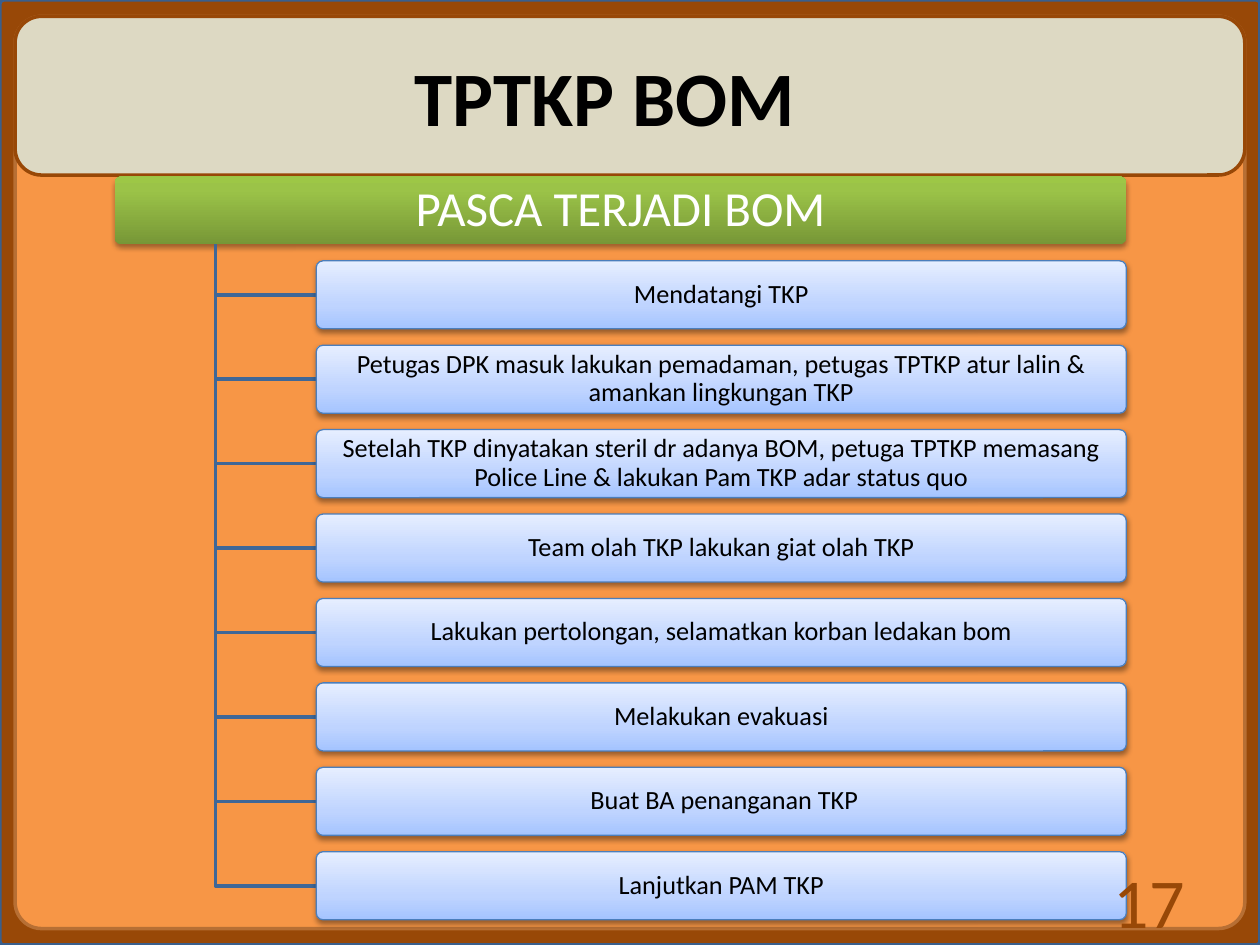
from dataclasses import dataclass

from pptx import Presentation
from pptx.dml.color import RGBColor
from pptx.enum.shapes import MSO_SHAPE as Shape
from pptx.enum.text import MSO_ANCHOR as Anchor, PP_ALIGN as Align
from pptx.oxml import parse_xml
from pptx.oxml.ns import nsdecls, qn
from pptx.util import Inches, Pt


@dataclass(frozen=True)
class Theme:
    font: str = "Calibri"
    black: str = "000000"
    white: str = "FFFFFF"
    brown: str = "984807"
    edge: str = "3A5F8C"
    orange: str = "F79646"
    orange_line: str = "B76F34"
    beige: str = "DDD9C3"
    branch: str = "3F6797"
    step_line: str = "4B7EBC"
    green: tuple = ((0, "779737"), (80, "9BC348"), (100, "9DC746"))
    blue: tuple = ((0, "A4C4FF"), (35, "BFD4FF"), (100, "E6EEFF"))
    title_size: int = 44
    number_size: int = 40
    heading_size: int = 28
    step_size: int = 15


theme = Theme()


def add_box(left, top, width, height, corner, fill, line=None, line_width=2, shadow=None):
    shape = slide.shapes.add_shape(
        Shape.ROUNDED_RECTANGLE, Inches(left), Inches(top), Inches(width), Inches(height))
    shape.adjustments[0] = corner
    shape.shadow.inherit = False
    if isinstance(fill, str):
        shape.fill.solid()
        shape.fill.fore_color.rgb = RGBColor.from_string(fill)
    else:
        shape.fill.gradient()
        stops = "".join(
            f'<a:gs pos="{position * 1000}"><a:srgbClr val="{color}"/></a:gs>'
            for position, color in fill)
        gradient = shape._element.spPr.find(qn("a:gradFill"))
        gradient.getparent().replace(gradient, parse_xml(
            f'<a:gradFill {nsdecls("a")} rotWithShape="1"><a:gsLst>{stops}</a:gsLst>'
            '<a:lin ang="16200000" scaled="0"/></a:gradFill>'))
    if line:
        shape.line.color.rgb = RGBColor.from_string(line)
        shape.line.width = Pt(line_width)
    else:
        shape.line.fill.background()
    if shadow:
        distance, opacity = shadow
        shape._element.spPr.find(qn("a:effectLst")).append(parse_xml(
            f'<a:outerShdw {nsdecls("a")} blurRad="{Pt(3.1)}" dist="{Pt(distance)}" '
            f'dir="5400000" rotWithShape="0"><a:srgbClr val="{theme.black}">'
            f'<a:alpha val="{opacity * 1000}"/></a:srgbClr></a:outerShdw>'))
    return shape


def write_text(shape, text, size, color, align=Align.CENTER, bold=False, inset=None, spacing=None):
    frame = shape.text_frame
    frame.word_wrap = True
    frame.vertical_anchor = Anchor.MIDDLE
    if inset is not None:
        frame.margin_left = frame.margin_right = Inches(inset)
        frame.margin_top = frame.margin_bottom = Inches(inset)
    paragraph = frame.paragraphs[0]
    paragraph.alignment = align
    if spacing:
        paragraph.line_spacing = spacing
    run = paragraph.add_run()
    run.text = text
    run.font.name = theme.font
    run.font.size = Pt(size)
    run.font.bold = bold
    run.font.color.rgb = RGBColor.from_string(color)


presentation = Presentation()
presentation.slide_width = Inches(10)
presentation.slide_height = Inches(7.5)
slide = presentation.slides.add_slide(presentation.slide_layouts[6])

add_box(0, 0, 10, 7.5, 0.004, theme.brown, theme.edge)
add_box(0.12, 0.13, 9.76, 7.24, 0.029, theme.orange, theme.orange_line)
add_box(0.12, 0.13, 9.76, 1.26, 0.1667, theme.beige, theme.brown)

title = slide.shapes.add_textbox(Inches(0.98), Inches(0.13), Inches(7.64), Inches(1.26))
write_text(title, "TPTKP BOM", theme.title_size, theme.black, bold=True)

box_height = 0.54
heading_top = 1.4
heading = add_box(0.91, heading_top, 8.03, box_height, 0.1, theme.green, shadow=(1.8, 35))
write_text(heading, "PASCA TERJADI BOM", theme.heading_size, theme.white, inset=0.06, spacing=0.9)

steps = [
    "Mendatangi TKP",
    "Petugas DPK masuk lakukan pemadaman, petugas TPTKP atur lalin & amankan lingkungan TKP",
    "Setelah TKP dinyatakan steril dr adanya BOM, petuga TPTKP memasang Police Line & "
    "lakukan Pam TKP adar status quo",
    "Team olah TKP lakukan giat olah TKP",
    "Lakukan pertolongan, selamatkan korban ledakan bom",
    "Melakukan evakuasi",
    " Buat BA penanganan TKP",
    "Lanjutkan PAM TKP",
]
trunk_left, trunk_top = 1.71, heading_top + box_height
step_left, step_pitch = 2.51, 0.67

for index, text in enumerate(steps):
    step_top = 2.07 + index * step_pitch
    step_middle = step_top + box_height / 2
    builder = slide.shapes.build_freeform(Inches(trunk_left), Inches(trunk_top))
    builder.add_line_segments(
        [(Inches(trunk_left), Inches(step_middle)), (Inches(step_left), Inches(step_middle))],
        close=False)
    branch = builder.convert_to_shape()
    branch.shadow.inherit = False
    branch.fill.background()
    branch.line.color.rgb = RGBColor.from_string(theme.branch)
    branch.line.width = Pt(2)

    step = add_box(step_left, step_top, 6.43, box_height, 0.1, theme.blue,
                   theme.step_line, 0.75, shadow=(1.6, 38))
    write_text(step, text, theme.step_size, theme.black, inset=0.04, spacing=0.9)

number = slide.shapes.add_textbox(Inches(7.17), Inches(6.95), Inches(2.33), Inches(0.4))
write_text(number, "17", theme.number_size, theme.brown, align=Align.RIGHT)

presentation.save("out.pptx")
